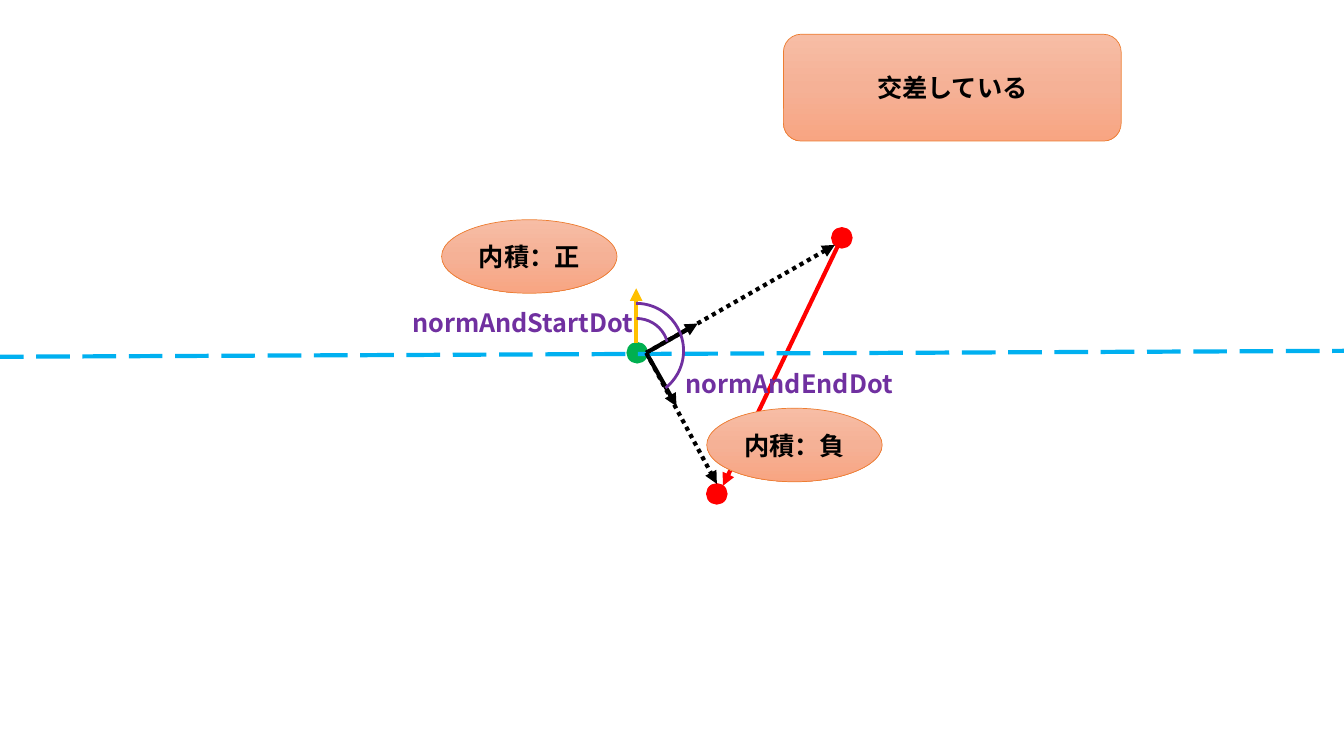
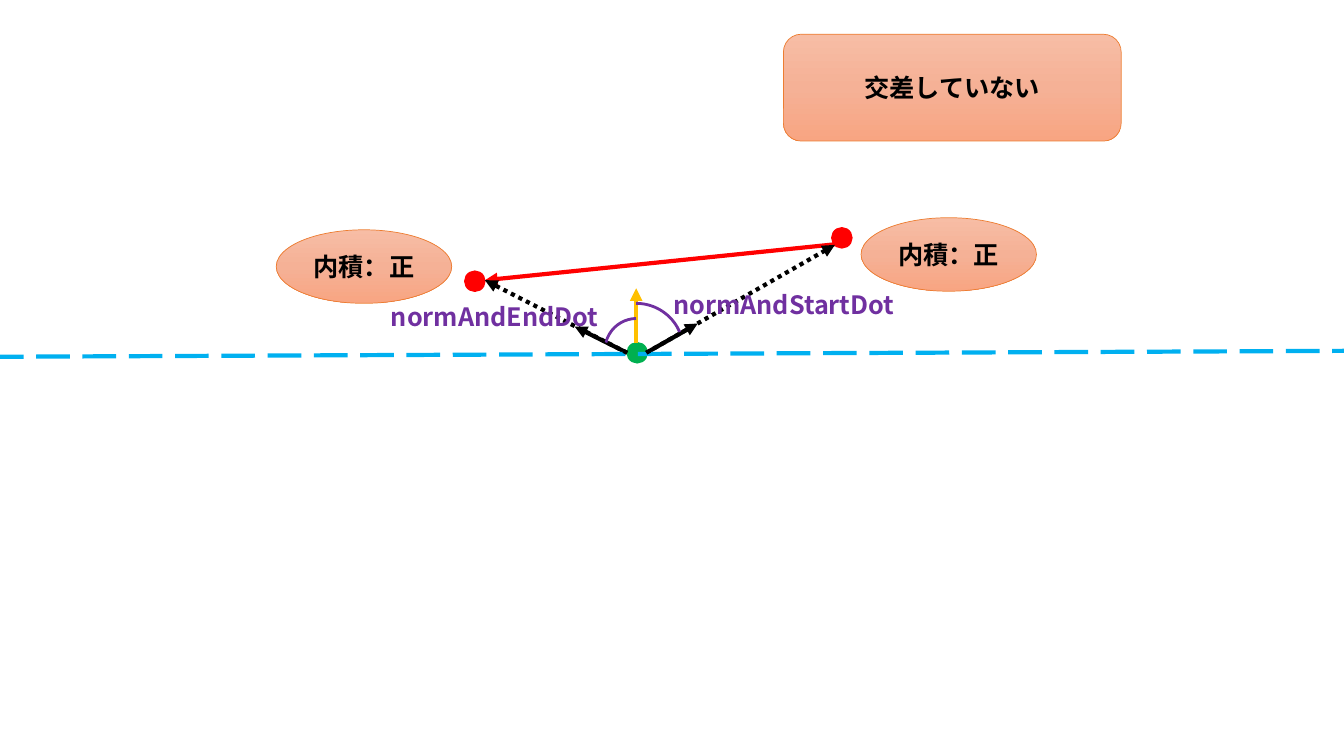
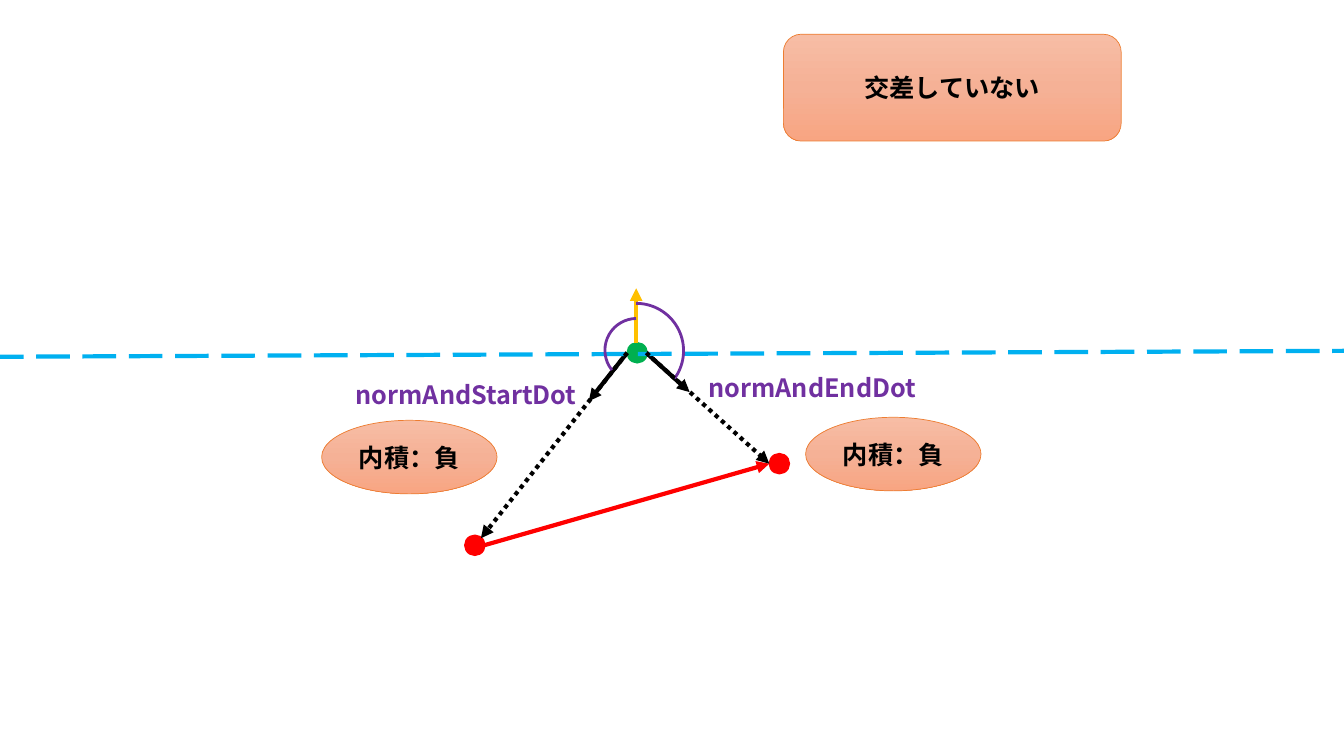
"""Three cases of a line and a segment, told apart by the signs of two dot products."""
from copy import deepcopy

from lxml import etree
from pptx import Presentation
from pptx.dml.color import RGBColor
from pptx.enum.dml import MSO_LINE
from pptx.enum.shapes import MSO_CONNECTOR, MSO_SHAPE
from pptx.enum.text import MSO_ANCHOR, MSO_AUTO_SIZE, PP_ALIGN
from pptx.oxml.ns import qn
from pptx.util import Inches, Pt

OVAL, ARC, ROUND = MSO_SHAPE.OVAL, MSO_SHAPE.ARC, MSO_SHAPE.ROUNDED_RECTANGLE
STRAIGHT = MSO_CONNECTOR.STRAIGHT
DASH, DOT = MSO_LINE.LONG_DASH, MSO_LINE.ROUND_DOT
MIDDLE, CENTER, LEFT = MSO_ANCHOR.MIDDLE, PP_ALIGN.CENTER, PP_ALIGN.LEFT
GROW = MSO_AUTO_SIZE.SHAPE_TO_FIT_TEXT

BLACK = RGBColor(0x00, 0x00, 0x00)
RED = RGBColor(0xFF, 0x00, 0x00)
GREEN = RGBColor(0x00, 0xB0, 0x50)
GOLD = RGBColor(0xFF, 0xC0, 0x00)
BLUE = RGBColor(0x00, 0xB0, 0xF0)
PURPLE = RGBColor(0x70, 0x30, 0xA0)
ORANGE = RGBColor(0xED, 0x7D, 0x31)
PEACH = ((0, RGBColor(0xF7, 0xBD, 0xA5)),
         (0.5, RGBColor(0xF5, 0xB1, 0x96)),
         (1, RGBColor(0xF8, 0xA5, 0x82)))

FACE = "Noto Sans CJK JP"
FONT = {"name": FACE, "size": Pt(18), "bold": True}
EAST, WEST = (6.41, 3.5), (6.22, 3.5)
UP = 270
START, END = "normAndStartDot", "normAndEndDot"
PLUS, MINUS = "内積：正", "内積：負"

CASES = (
    {"sign": "交差している",
     "edge": ((8.32, 2.42), (7.17, 4.82)),
     "dots": ((8.25, 2.26), (7.01, 4.8)),
     "rays": ((EAST, (6.92, 3.21), (8.28, 2.43)),
              (EAST, (6.71, 4.03), (7.11, 4.8))),
     "arcs": ((UP, 344.25), (UP, 51.77)),
     "names": ((3.99, 3, START), (6.7, 3.6, END)),
     "tags": ((4.38, 2.18, PLUS), (7.01, 4.05, MINUS))},
    {"sign": "交差していない",
     "edge": ((8.32, 2.42), (4.81, 2.78)),
     "dots": ((8.25, 2.26), (4.61, 2.69)),
     "rays": ((EAST, (6.92, 3.21), (8.28, 2.43)),
              (WEST, (5.7, 3.24), (4.81, 2.78))),
     "arcs": ((194.09, 268.75), (UP, 336.59)),
     "names": ((6.58, 2.82, START), (3.78, 2.94, END)),
     "tags": ((2.74, 2.28, PLUS), (8.54, 2.16, PLUS))},
    {"sign": "交差していない",
     "edge": ((4.8, 5.41), (7.63, 4.6)),
     "dots": ((4.61, 5.31), (7.63, 4.5)),
     "rays": ((EAST, (6.84, 3.89), (7.63, 4.6)),
              (WEST, (5.84, 3.98), (4.77, 5.34))),
     "arcs": ((141.36, 268.75), (UP, 35.73)),
     "names": ((3.43, 3.71, START), (6.93, 3.64, END)),
     "tags": ((3.19, 4.17, MINUS), (7.99, 4.14, MINUS))},
)


class Deck:
    """Holds the presentation, the current slide and the style of each element."""

    def __init__(self):
        """Start an empty widescreen deck."""
        self.prs = Presentation()
        self.prs.slide_width, self.prs.slide_height = Inches(13.33), Inches(7.5)
        self.shapes = None

    def page(self):
        """Add a blank slide and make it current."""
        self.shapes = self.prs.slides.add_slide(self.prs.slide_layouts[6]).shapes

    def shape(self, kind, box, color, width):
        """Add a preset shape with an outline and no shadow."""
        shape = self.shapes.add_shape(kind, *map(Inches, box))
        shape.shadow.inherit = False
        shape.line.color.rgb, shape.line.width = color, Pt(width)
        return shape

    def dot(self, left, top, color):
        """Add a small filled point."""
        shape = self.shape(OVAL, (left, top, 0.2, 0.2), color, 1)
        shape.fill.solid()
        shape.fill.fore_color.rgb = color

    def arc(self, box, angles):
        """Add an angle mark between two angles in degrees."""
        shape = self.shape(ARC, box, PURPLE, 2)
        shape.fill.background()
        for i, angle in enumerate(angles):
            shape.adjustments[i] = angle * 0.6

    def line(self, start, end, color, dash=None, arrow=True):
        """Add a straight line, by default with an arrowhead at its end."""
        line = self.shapes.add_connector(STRAIGHT, *map(Inches, start + end))
        style = {"width": Pt(3), "dash_style": dash}
        line.line.color.rgb = color
        for key, value in style.items():
            setattr(line.line, key, value)
        props = line.element.spPr
        if arrow:
            etree.SubElement(props.find(qn("a:ln")), qn("a:tailEnd"), type="triangle")
        etree.SubElement(props, qn("a:effectLst"))

    def put(self, shape, text, color, align):
        """Put one styled run into a shape."""
        para = shape.text_frame.paragraphs[0]
        para.alignment = align
        run = para.add_run()
        run.text = text
        for key, value in FONT.items():
            setattr(run.font, key, value)
        run.font.color.rgb = color
        props = shape.element.find(".//" + qn("a:rPr"))
        etree.SubElement(props, qn("a:ea"), typeface=FACE)

    def name(self, left, top, text):
        """Add a purple label."""
        box = self.shapes.add_textbox(*map(Inches, (left, top, 2.47, 0.4)))
        box.text_frame.word_wrap, box.text_frame.auto_size = True, GROW
        self.put(box, text, PURPLE, LEFT)

    def badge(self, kind, box, text):
        """Add a peach gradient shape with centred text."""
        shape = self.shape(kind, box, ORANGE, 0.5)
        shape.fill.gradient()
        shape.fill.gradient_angle = 270
        stops = shape.element.spPr.find(".//" + qn("a:gsLst"))
        stops.insert(1, deepcopy(stops[0]))
        for stop, (place, color) in zip(shape.fill.gradient_stops, PEACH):
            stop.position, stop.color.rgb = place, color
        shape.text_frame.vertical_anchor = MIDDLE
        self.put(shape, text, BLACK, CENTER)

    def case(self, data):
        """Draw one case on a new slide."""
        self.page()
        self.dot(6.22, 3.4, GREEN)
        self.line((6.31, 3.4), (6.31, 2.86), GOLD)
        self.line(*data["edge"], RED)
        for root, unit, _ in data["rays"]:
            self.line(root, unit, BLACK)
        self.line((-0.1, 3.54), (13.49, 3.48), BLUE, DASH, arrow=False)
        for dot in data["dots"]:
            self.dot(*dot, RED)
        inner, outer = data["arcs"]
        self.arc((6, 3.16, 0.63, 0.63), inner)
        self.arc((5.84, 3.01, 0.94, 0.94), outer)
        for root, _, tip in data["rays"]:
            self.line(root, tip, BLACK, DOT)
        for name in data["names"]:
            self.name(*name)
        for left, top, text in data["tags"]:
            self.badge(OVAL, (left, top, 1.74, 0.73), text)
        self.badge(ROUND, (7.77, 0.34, 3.35, 1.06), data["sign"])


def main():
    """Draw every case and save the deck."""
    deck = Deck()
    for data in CASES:
        deck.case(data)
    deck.prs.save("out.pptx")


if __name__ == "__main__":
    main()
